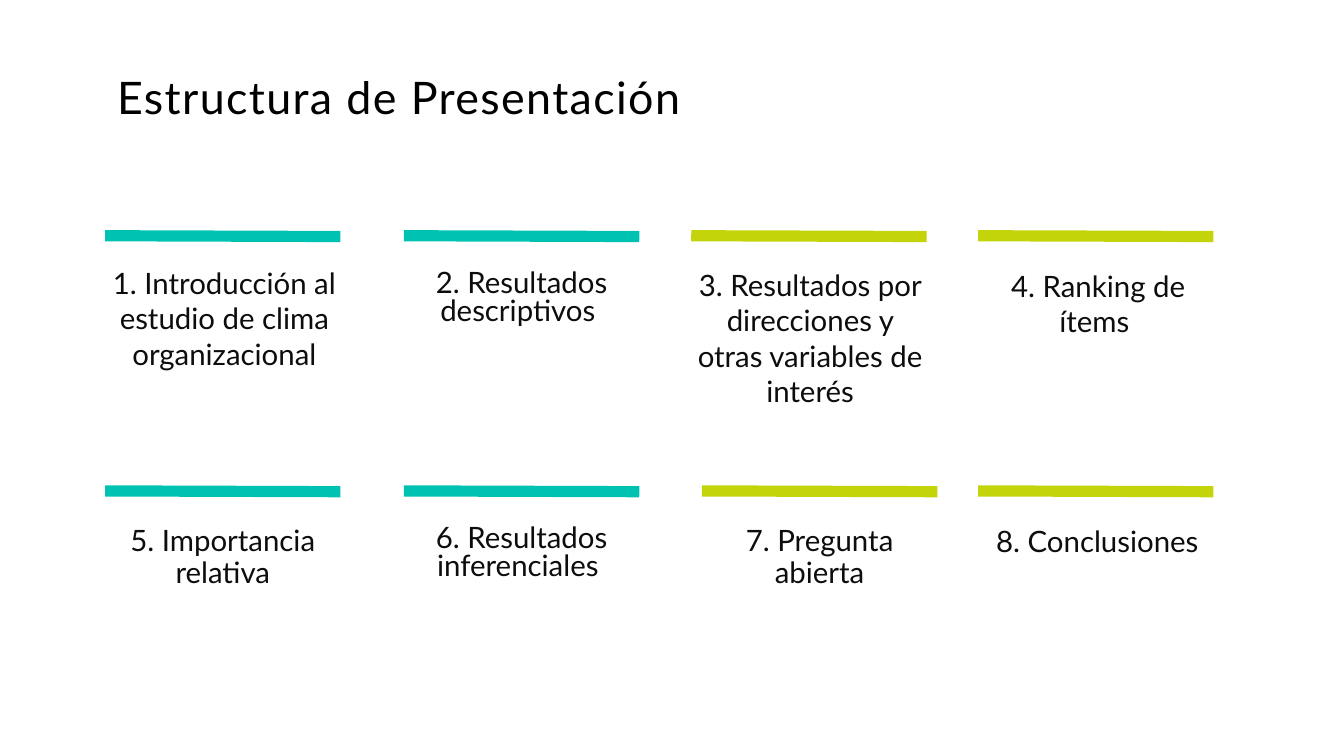
from dataclasses import dataclass

from lxml import etree
from pptx import Presentation
from pptx.dml.color import RGBColor
from pptx.enum.shapes import MSO_CONNECTOR
from pptx.enum.text import MSO_ANCHOR, PP_ALIGN
from pptx.oxml.ns import qn
from pptx.util import Cm, Pt

STRAIGHT = MSO_CONNECTOR.STRAIGHT
LEFT, CENTER = PP_ALIGN.LEFT, PP_ALIGN.CENTER
TOP, MIDDLE = MSO_ANCHOR.TOP, MSO_ANCHOR.MIDDLE

COLORS = {"title": "000000", "body": "0D0D0D", "teal": "00C2B2", "lime": "C4D40A"}
COLUMN_WIDTH = 5.93
BAR_TILT = 0.02
ROW_TOPS = (5.94, 12.37)

PADDED = {"margin_left": Cm(0.25), "margin_right": Cm(0.25),
          "margin_top": Cm(0.13), "margin_bottom": Cm(0.13)}
FLUSH = {side: 0 for side in PADDED}


@dataclass(frozen=True)
class Section:
    label: str
    row: int
    bar_left: float
    color: str
    text_drop: float = 0.76
    text_shift: float = 0.0
    line_spacing: float = 1.0


SECTIONS = (
    Section("1. Introducción al estudio de clima organizacional", 0, 2.65, "teal", 0.74, 0.04),
    Section("2. Resultados descriptivos ", 0, 10.18, "teal", line_spacing=0.8),
    Section("3. Resultados por direcciones y otras variables de interés", 0, 17.42, "lime", 0.79, 0.03),
    Section("4. Ranking de ítems ", 0, 24.65, "lime", 0.82, 0.06),
    Section("5. Importancia relativa", 1, 2.65, "teal", line_spacing=0.9),
    Section("6. Resultados inferenciales ", 1, 10.18, "teal", line_spacing=0.8),
    Section("7. Pregunta abierta", 1, 17.69, "lime", line_spacing=0.9),
    Section("8. Conclusiones", 1, 24.65, "lime", 0.81, 0.04),
)


def apply_format(target, values: dict) -> None:
    for attribute, value in values.items():
        setattr(target, attribute, value)


def add_label(slide, text: str, left: float, top: float, width: float, height: float,
              size: int, color: str, frame_format: dict, paragraph_format: dict):
    box = slide.shapes.add_textbox(Cm(left), Cm(top), Cm(width), Cm(height))
    apply_format(box.text_frame, {"word_wrap": True, **frame_format})
    paragraph = box.text_frame.paragraphs[0]
    apply_format(paragraph, paragraph_format)
    run = paragraph.add_run()
    run.text = text
    apply_format(run.font, {"name": "Lato", "size": Pt(size)})
    run.font.color.rgb = RGBColor.from_string(COLORS[color])
    return run


def add_bar(slide, section: Section) -> None:
    top = ROW_TOPS[section.row]
    bar = slide.shapes.add_connector(
        STRAIGHT, Cm(section.bar_left), Cm(top),
        Cm(section.bar_left + COLUMN_WIDTH), Cm(top + BAR_TILT))
    bar.line.color.rgb = RGBColor.from_string(COLORS[section.color])
    bar.line.width = Pt(8)
    etree.SubElement(bar._element.spPr, qn("a:effectLst"))


def add_section(slide, section: Section) -> None:
    add_bar(slide, section)
    margins = FLUSH if section.line_spacing == 1 else PADDED
    add_label(slide, section.label, section.bar_left + section.text_shift,
              ROW_TOPS[section.row] + section.text_drop, COLUMN_WIDTH, 1.7, 21, "body",
              {"vertical_anchor": TOP, **margins},
              {"alignment": CENTER, "line_spacing": section.line_spacing})


def main() -> None:
    deck = Presentation()
    deck.slide_width, deck.slide_height = Cm(33.87), Cm(19.05)
    slide = deck.slides.add_slide(deck.slide_layouts[6])
    title = add_label(slide, "Estructura de Presentación", 2.7, 1.68, 23.06, 1.7, 32, "title",
                      {"vertical_anchor": MIDDLE, **PADDED},
                      {"alignment": LEFT, "line_spacing": 0.9})
    title.font._element.set("spc", "100")
    for section in SECTIONS:
        add_section(slide, section)
    deck.save("out.pptx")


if __name__ == "__main__":
    main()
